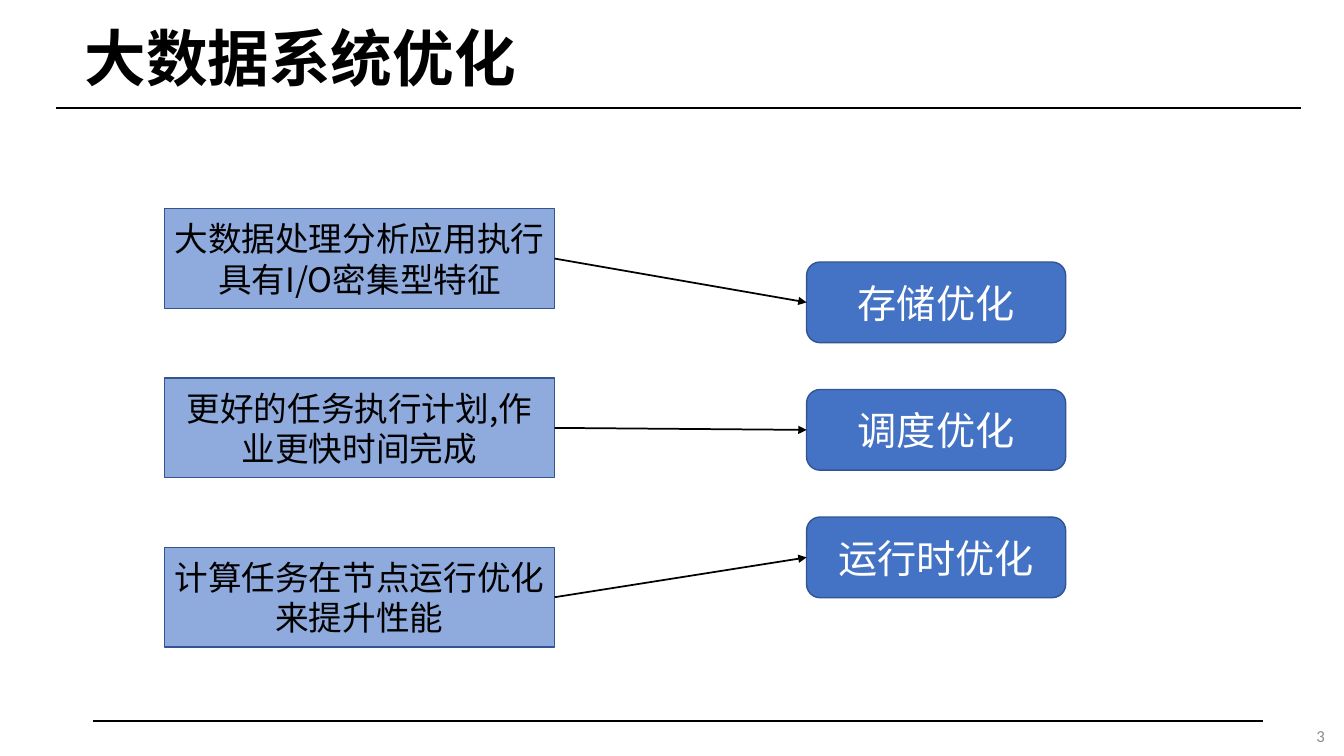
import pptx
import pptx.util
import pptx.dml.color
import pptx.enum.shapes
import pptx.enum.text
import pptx.oxml.ns
from lxml import etree

Inches = pptx.util.Inches
Pt = pptx.util.Pt
SHAPE = pptx.enum.shapes.MSO_SHAPE
ALIGN = pptx.enum.text.PP_ALIGN
qn = pptx.oxml.ns.qn

COLORS = {
    "ink": "000000",
    "white": "FFFFFF",
    "need": "8FAADC",
    "method": "4472C4",
    "border": "325491",
    "page": "8C8C8C",
}
CJK_FONT = "Noto Sans CJK SC"
RIGHT_SIDE, LEFT_SIDE = 3, 1

PAIRS = [
    ("大数据处理分析应用执行具有I/O密集型特征", "存储优化"),
    ("更好的任务执行计划,作业更快时间完成", "调度优化"),
    ("计算任务在节点运行优化来提升性能", "运行时优化"),
]


def rgb(name):
    return pptx.dml.color.RGBColor.from_string(COLORS[name])


def write(shape, text, size, font, color, align, bold=False, spacing=None):
    frame = shape.text_frame
    frame.word_wrap = True
    frame.vertical_anchor = pptx.enum.text.MSO_ANCHOR.MIDDLE
    paragraph = frame.paragraphs[0]
    paragraph.alignment = align
    paragraph.line_spacing = spacing
    run = paragraph.add_run()
    run.text = text
    run.font.size = Pt(size)
    run.font.bold = bold
    run.font.name = font
    run.font.color.rgb = rgb(color)
    east_asian = etree.SubElement(run.font._element, qn("a:ea"))
    east_asian.set("typeface", CJK_FONT)


def add_label(slide, left, top, width, height, text, *style, **options):
    label = slide.shapes.add_textbox(Inches(left), Inches(top), Inches(width), Inches(height))
    write(label, text, *style, **options)


def add_box(slide, kind, left, top, width, height, fill, text, size, color):
    box = slide.shapes.add_shape(kind, Inches(left), Inches(top), Inches(width), Inches(height))
    box.shadow.inherit = False
    box.fill.solid()
    box.fill.fore_color.rgb = rgb(fill)
    box.line.color.rgb = rgb("border")
    box.line.width = Pt(1)
    write(box, text, size, CJK_FONT, color, ALIGN.CENTER)
    return box


def add_line(slide, x1, y1, x2, y2, width):
    line = slide.shapes.add_connector(
        pptx.enum.shapes.MSO_CONNECTOR.STRAIGHT, Inches(x1), Inches(y1), Inches(x2), Inches(y2))
    line.line.color.rgb = rgb("ink")
    line.line.width = Pt(width)
    etree.SubElement(line._element.spPr, qn("a:effectLst"))
    return line


def add_arrow(slide, need, method):
    arrow = add_line(slide, 0, 0, 1, 1, 1.25)
    arrow.begin_connect(need, RIGHT_SIDE)
    arrow.end_connect(method, LEFT_SIDE)
    head = etree.SubElement(arrow.line._get_or_add_ln(), qn("a:tailEnd"))
    head.set("type", "triangle")


def main():
    deck = pptx.Presentation()
    deck.slide_width = Inches(13.33)
    deck.slide_height = Inches(7.5)
    slide = deck.slides.add_slide(deck.slide_layouts[6])

    add_line(slide, 0.56, 1.07, 12.9, 1.07, 1.75)
    add_line(slide, 0.92, 7.15, 12.53, 7.15, 1.25)
    add_label(slide, 0.74, 0.15, 11.95, 0.92, "大数据系统优化",
              44, "Arial", "ink", ALIGN.LEFT, bold=True, spacing=0.9)

    for row, (need_text, method_text) in enumerate(PAIRS):
        need = add_box(slide, SHAPE.RECTANGLE, 1.63, 2.07 + 1.68 * row, 3.87, 0.99,
                       "need", need_text, 24, "ink")
        method = add_box(slide, SHAPE.ROUNDED_RECTANGLE, 8, 2.6 + 1.265 * row, 2.57, 0.8,
                         "method", method_text, 28, "white")
        add_arrow(slide, need, method)

    add_label(slide, 10.24, 7.1, 3, 0.4, "3", 12, "Calibri", "page", ALIGN.RIGHT)
    deck.save("out.pptx")


if __name__ == "__main__":
    main()
